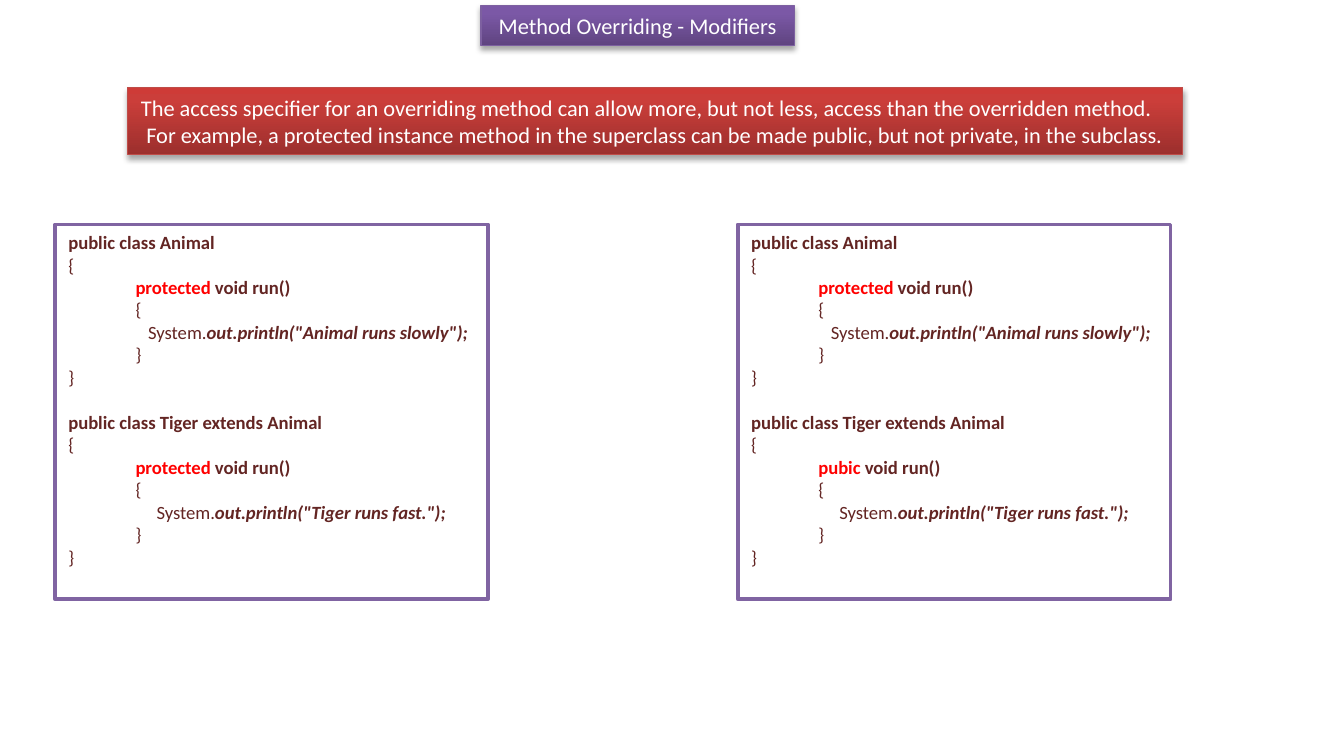
"""Build the slide on access modifiers in method overriding."""

from copy import deepcopy
from dataclasses import dataclass

from lxml.etree import SubElement
from pptx import Presentation
from pptx.dml.color import RGBColor
from pptx.enum.shapes import MSO_SHAPE as ShapeKind
from pptx.enum.text import MSO_ANCHOR as Anchor, MSO_AUTO_SIZE as AutoSize, PP_ALIGN as Align
from pptx.oxml.ns import qn
from pptx.util import Inches, Pt

FONT = "Calibri"
COLORS = {
    "white": "FFFFFF",
    "code": "632523",
    "keyword": "FF0000",
    "frame": "8064A2",
    "title_line": "7D60A0",
    "banner_line": "BF4C48",
    "shadow": "000000",
}
TITLE_GRADIENT = ("5F4480", "7B58A6", "7C57A8")
BANNER_GRADIENT = ("9C2F2D", "CB3E3A", "CE3B37")
GRADIENT_POSITIONS = (0, 0.8, 1)


@dataclass(frozen=True)
class Piece:
    text: str
    bold: bool = False
    italic: bool = False
    color: str = "code"


@dataclass(frozen=True)
class CodeLine:
    pieces: tuple[Piece, ...]
    level: int = 0
    space_before: float = 0


@dataclass(frozen=True)
class JavaClass:
    heading: str
    modifier: str
    call_start: str
    call_end: str


@dataclass(frozen=True)
class CodeBox:
    left: float
    classes: tuple[JavaClass, ...]


ANIMAL = JavaClass("public class Animal", "protected", "   System.", 'out.println("Animal runs slowly");')


def tiger(modifier: str) -> JavaClass:
    """Return the subclass whose run method has the given modifier."""
    return JavaClass("public class Tiger extends Animal", modifier, "     System.", 'out.println("Tiger runs fast.");')


CODE_BOXES = (
    CodeBox(0.41, (ANIMAL, tiger("protected"))),
    CodeBox(5.49, (ANIMAL, tiger("pubic"))),
)


def rgb(name: str) -> RGBColor:
    """Return a named colour."""
    return RGBColor.from_string(COLORS[name])


def place(shape, left: float, top: float, width: float, height: float) -> None:
    """Move and size a shape in inches."""
    shape.left, shape.top = Inches(left), Inches(top)
    shape.width, shape.height = Inches(width), Inches(height)


def add_rectangle(slide, left: float, top: float, width: float, height: float):
    """Add a rectangle without a shadow."""
    shape = slide.shapes.add_shape(
        ShapeKind.RECTANGLE, Inches(left), Inches(top), Inches(width), Inches(height)
    )
    shape.shadow.inherit = False
    return shape


def style_panel(shape, gradient: tuple[str, ...], line_name: str) -> None:
    """Give a shape a vertical gradient, a thin line and a soft shadow."""
    shape.fill.gradient()
    shape.fill.gradient_angle = 90
    properties = shape._element.spPr
    stop_list = properties.find(qn("a:gradFill")).find(qn("a:gsLst"))
    stop_list.append(deepcopy(stop_list[0]))
    for stop, position, color in zip(shape.fill.gradient_stops, GRADIENT_POSITIONS, gradient):
        stop.position = position
        stop.color.rgb = RGBColor.from_string(color)
    shape.line.color.rgb = rgb(line_name)
    shape.line.width = Pt(0.75)
    shape.shadow.inherit = False
    shadow = SubElement(
        properties.find(qn("a:effectLst")), qn("a:outerShdw"),
        blurRad=str(Pt(3.1)), dist=str(Pt(1.8)), dir="5400000", rotWithShape="0",
    )
    color = SubElement(shadow, qn("a:srgbClr"), val=COLORS["shadow"])
    SubElement(color, qn("a:alpha"), val="35000")


def write_panel(shape, text: str, alignment: Align) -> None:
    """Write white text into a panel."""
    frame = shape.text_frame
    frame.text = text
    frame.word_wrap = True
    frame.auto_size = AutoSize.NONE
    frame.vertical_anchor = Anchor.TOP
    for paragraph in frame.paragraphs:
        paragraph.alignment = alignment
        for run in paragraph.runs:
            run.font.name, run.font.size = FONT, Pt(12)
            run.font.color.rgb = rgb("white")


def class_lines(java_class: JavaClass, space_before: float) -> list[CodeLine]:
    """Return the code lines of one class."""
    opening, closing = (Piece("{"),), (Piece("}"),)
    signature = (Piece(java_class.modifier, bold=True, color="keyword"), Piece(" void run()", bold=True))
    call = (Piece(java_class.call_start), Piece(java_class.call_end, bold=True, italic=True))
    return [
        CodeLine((Piece(java_class.heading, bold=True),), space_before=space_before),
        CodeLine(opening),
        *(CodeLine(pieces, level=1) for pieces in (signature, opening, call, closing)),
        CodeLine(closing),
    ]


def add_code_box(slide, box: CodeBox) -> None:
    """Draw a framed box of code."""
    shape = add_rectangle(slide, box.left, 1.67, 3.22, 2.79)
    shape.fill.solid()
    shape.fill.fore_color.rgb = rgb("white")
    shape.line.color.rgb = rgb("frame")
    shape.line.width = Pt(2)
    frame = shape.text_frame
    frame.word_wrap = True
    frame.vertical_anchor = Anchor.TOP
    lines = [line for index, item in enumerate(box.classes) for line in class_lines(item, 12.2 * index)]
    for index, line in enumerate(lines):
        paragraph = frame.add_paragraph() if index else frame.paragraphs[0]
        paragraph.alignment = Align.LEFT
        paragraph.level = line.level
        paragraph._p.get_or_add_pPr().set("marL", str(Inches(0.5 * line.level)))
        if line.space_before:
            paragraph.space_before = Pt(line.space_before)
        for piece in line.pieces:
            run = paragraph.add_run()
            run.text = piece.text
            run.font.name, run.font.size = FONT, Pt(10)
            run.font.bold, run.font.italic = piece.bold, piece.italic
            run.font.color.rgb = rgb(piece.color)


def main() -> None:
    """Build and save the presentation."""
    presentation = Presentation()
    presentation.slide_width, presentation.slide_height = Inches(10), Inches(5.5)
    slide = presentation.slides.add_slide(presentation.slide_layouts[5])

    title = slide.shapes.title
    place(title, 3.58, 0.04, 2.33, 0.3)
    style_panel(title, TITLE_GRADIENT, "title_line")
    write_panel(title, "Method Overriding - Modifiers", Align.CENTER)

    for box in CODE_BOXES:
        add_code_box(slide, box)

    banner = add_rectangle(slide, 0.95, 0.65, 7.85, 0.5)
    style_panel(banner, BANNER_GRADIENT, "banner_line")
    write_panel(
        banner,
        "The access specifier for an overriding method can allow more, but not less, "
        "access than the overridden method.\n"
        "For example, a protected instance method in the superclass can be made public, "
        "but not private, in the subclass.",
        Align.LEFT,
    )
    banner.text_frame.paragraphs[1]._p.get_or_add_pPr().set("marL", str(Inches(0.04)))

    presentation.save("out.pptx")


if __name__ == "__main__":
    main()
